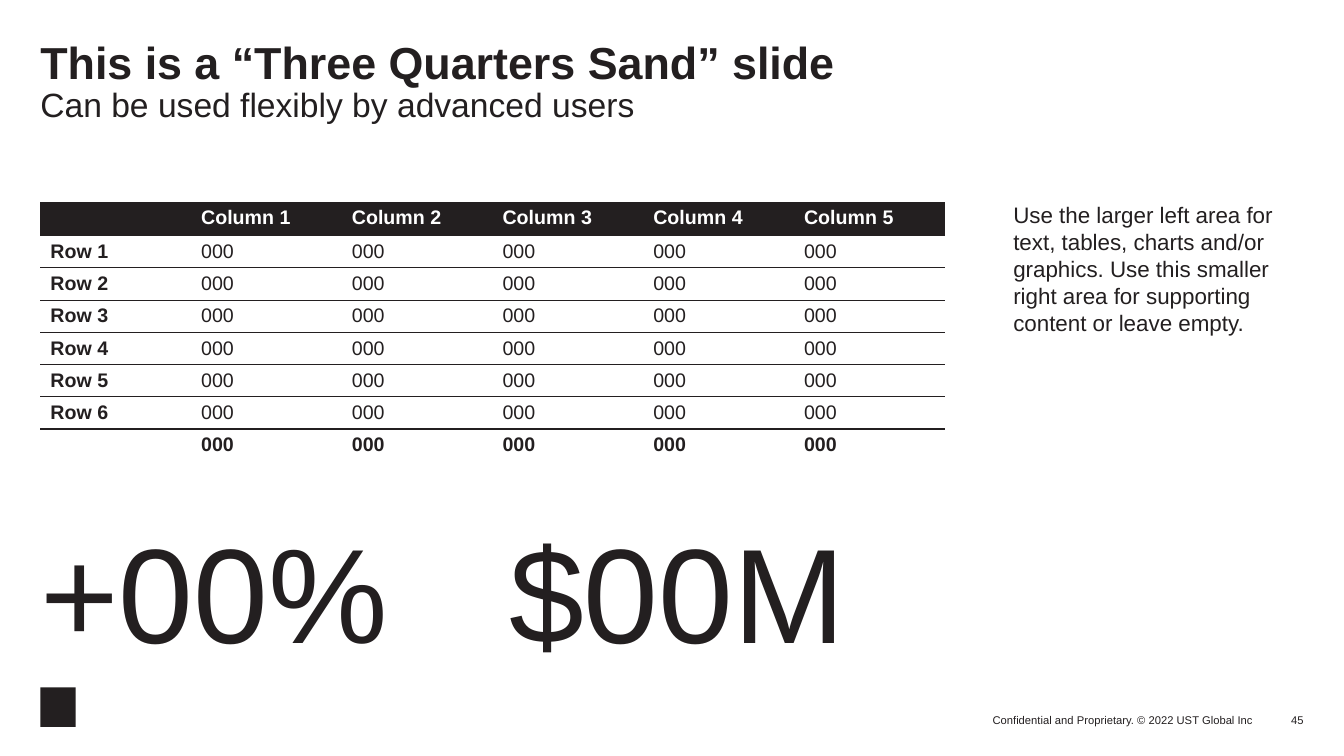
from lxml.etree import SubElement
from pptx import Presentation
from pptx.dml.color import RGBColor
from pptx.enum.shapes import MSO_SHAPE as Shape
from pptx.enum.text import MSO_ANCHOR as Anchor, MSO_AUTO_SIZE as Fit, PP_ALIGN as Align
from pptx.oxml import parse_xml
from pptx.oxml.ns import nsdecls, qn
from pptx.util import Pt

PX = 9144
INK = {"dark": "231F20", "white": "FFFFFF"}
PLAIN = "{2D5ABB26-0587-4C30-8999-92F81FD0307C}"


def write(para, text, size, bold=False, ink="dark"):
    run = para.add_run()
    run.text = text
    font = run.font
    font.name, font.size, font.bold = "Arial", Pt(size), bold
    font.color.rgb = RGBColor.from_string(INK[ink])


def place(item, box, anchor=Anchor.TOP, wrap=True):
    item.left, item.top, item.width, item.height = [n * PX for n in box]
    frame = item.text_frame
    frame.margin_left = frame.margin_right = 0
    frame.margin_top = frame.margin_bottom = 0
    frame.auto_size, frame.word_wrap = Fit.NONE, wrap
    frame.vertical_anchor = anchor
    return frame.paragraphs[0]


deck = Presentation()
deck.slide_width, deck.slide_height = 1333 * PX, 750 * PX
slide = deck.slides.add_slide(deck.slide_layouts[1])
shapes = slide.shapes

para = place(shapes.title, (40, 40, 897, 100))
para.alignment, para.line_spacing = Align.LEFT, 0.9
write(para, "This is a “Three Quarters Sand” slide", 32, True)
para.add_line_break()
write(para, "Can be used flexibly by advanced users", 24)

para = place(slide.placeholders[1], (1005, 200, 288, 465))
props = para._p.get_or_add_pPr()
props.set("marL", "0")
props.set("indent", "0")
SubElement(props, qn("a:buNone"))
para.space_before = Pt(0)
write(para, "Use the larger left area for text, tables, charts and/or graphics. "
      "Use this smaller right area for supporting content or leave empty.", 16)

rows = [[""] + [f"Column {n}" for n in range(1, 6)]]
rows += [[f"Row {n}"] + ["000"] * 5 for n in range(1, 7)]
rows += [[""] + ["000"] * 5]
data = shapes.add_table(8, 6, 40 * PX, 200 * PX, 897 * PX, 256 * PX).table
stats = shapes.add_table(1, 3, 40 * PX, 485 * PX, 897 * PX, 180 * PX).table
for table in (data, stats):
    table.first_row = table.horz_banding = False
    table._tbl.tblPr.find(qn("a:tableStyleId")).text = PLAIN
    for cell in table.iter_cells():
        cell.fill.background()

for r, row in enumerate(rows):
    for c, text in enumerate(row):
        cell = data.cell(r, c)
        para = cell.text_frame.paragraphs[0]
        if text:
            write(para, text, 14, r in (0, 7) or c == 0, "dark" if r else "white")
        else:
            SubElement(para._p, qn("a:endParaRPr"), sz="1400")
        if r == 0:
            cell.fill.solid()
            cell.fill.fore_color.rgb = RGBColor.from_string(INK["dark"])
        edges = [("lnB", r)] if 0 < r < 7 else []
        edges += [("lnT", r - 1)] if r > 1 else []
        for tag, line in edges:
            width = Pt(1.5 if line == 6 else 0.5)
            cell._tc.get_or_add_tcPr().insert(0, parse_xml(
                f'<a:{tag} {nsdecls("a")} w="{width}"><a:solidFill>'
                f'<a:srgbClr val="{INK["dark"]}"/></a:solidFill></a:{tag}>'))

for col, width in zip(stats.columns, (432, 33, 432)):
    col.width = width * PX
for c, text in ((0, "+00%"), (2, "$00M")):
    cell = stats.cell(0, c)
    cell.margin_left = cell.margin_right = 0
    cell.margin_top = cell.margin_bottom = 0
    cell.vertical_anchor = Anchor.BOTTOM
    para = cell.text_frame.paragraphs[0]
    para.line_spacing = 0.9
    write(para, text, 96)

mark = shapes.add_shape(Shape.RECTANGLE, 40 * PX, 682 * PX, 35 * PX, 39 * PX)
mark.shadow.inherit = False
mark.fill.solid()
mark.fill.fore_color.rgb = RGBColor.from_string(INK["dark"])
mark.line.fill.background()

notes = [
    ("Confidential and Proprietary. © 2022 UST Global Inc", (899, 701, 344, 20), False),
    ("45", (1243, 691, 50, 30), True),
]
for text, box, wrap in notes:
    para = place(shapes.add_textbox(0, 0, 0, 0), box, Anchor.BOTTOM, wrap)
    para.alignment = Align.RIGHT
    write(para, text, 8)

deck.save("out.pptx")
